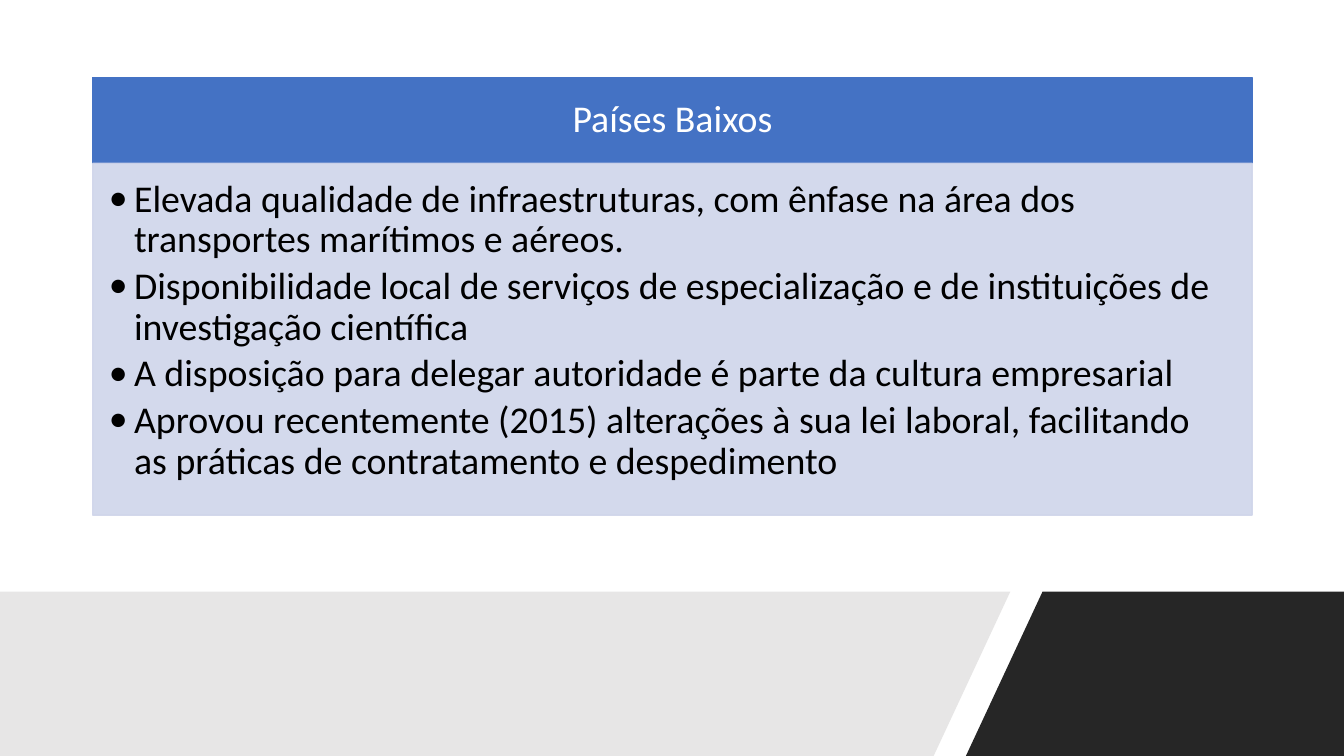
import pptx
import pptx.dml.color
import pptx.enum.shapes
import pptx.enum.text
import pptx.oxml.ns
import pptx.util
from lxml import etree

Inches = pptx.util.Inches
Pt = pptx.util.Pt
ALIGN = pptx.enum.text.PP_ALIGN
ANCHOR = pptx.enum.text.MSO_ANCHOR

COLORS = {
    "header": "4472C4",
    "body": "CFD5EA",
    "dark": "262626",
    "light": "E7E6E6",
    "white": "FFFFFF",
    "black": "000000",
}


def set_all(target, values):
    for name, value in values.items():
        setattr(target, name, value)


class SlideBuilder:
    font = {"name": "Calibri", "size": Pt(27)}
    spacing = {"line_spacing": 0.9, "space_before": Pt(0)}

    def __init__(self, prs):
        self.slide = prs.slides.add_slide(prs.slide_layouts[6])

    def rgb(self, color):
        return pptx.dml.color.RGBColor.from_string(COLORS[color])

    def paint(self, s, color):
        s.shadow.inherit = False
        s.fill.solid()
        s.fill.fore_color.rgb = self.rgb(color)

    def band(self, points, color):
        corners = [(Inches(x), Inches(y)) for x, y in points]
        builder = self.slide.shapes.build_freeform(*corners[0], scale=1.0)
        builder.add_line_segments(corners[1:], close=True)
        s = builder.convert_to_shape()
        self.paint(s, color)
        s.line.fill.background()

    def panel(self, box, color, frame, opacity=100):
        s = self.slide.shapes.add_shape(
            pptx.enum.shapes.MSO_SHAPE.RECTANGLE, *map(Inches, box))
        self.paint(s, color)
        s.line.color.rgb = self.rgb(color)
        s.line.width = Pt(1)
        if opacity < 100:
            for clr in s.element.spPr.iter(pptx.oxml.ns.qn("a:srgbClr")):
                etree.SubElement(clr, pptx.oxml.ns.qn("a:alpha"),
                                 val=str(opacity * 1000))
        set_all(s.text_frame, {"word_wrap": True, **frame})
        return s.text_frame

    def paragraphs(self, tf, lines, color, align, space_after, bullet=False):
        for i, line in enumerate(lines):
            p = tf.add_paragraph() if i else tf.paragraphs[0]
            if bullet:
                self.bullet(p)
            set_all(p, {**self.spacing, "alignment": align,
                        "space_after": space_after})
            r = p.add_run()
            r.text = line
            set_all(r.font, self.font)
            r.font.color.rgb = self.rgb(color)

    def bullet(self, p):
        pPr = p._p.get_or_add_pPr()
        pPr.set("marL", str(Inches(0.25)))
        pPr.set("indent", str(-Inches(0.25)))
        etree.SubElement(pPr, pptx.oxml.ns.qn("a:buFont"), typeface="Calibri")
        etree.SubElement(pPr, pptx.oxml.ns.qn("a:buChar"), char="•")


def main():
    prs = pptx.Presentation()
    set_all(prs, {"slide_width": Inches(13.33), "slide_height": Inches(7.5)})
    slide = SlideBuilder(prs)

    # Slanted bands along the bottom
    top, bottom = 5.87, 7.5
    slide.band([(10.34, top), (13.33, top), (13.33, bottom), (9.58, bottom)], "dark")
    slide.band([(0, top), (10.02, top), (9.26, bottom), (0, bottom)], "light")

    # Country heading
    left, width = 0.92, 11.5
    tf = slide.panel((left, 0.77, width, 0.85), "header", {
        "vertical_anchor": ANCHOR.MIDDLE,
        "margin_left": Inches(0.21), "margin_right": Inches(0.21),
        "margin_top": Inches(0.12), "margin_bottom": Inches(0.12)})
    slide.paragraphs(tf, ["Países Baixos"], "white", ALIGN.CENTER, Pt(9.45))

    # Country strengths
    tf = slide.panel((left, 1.62, width, 3.49), "body", {
        "vertical_anchor": ANCHOR.TOP,
        "margin_left": Inches(0.16), "margin_right": Inches(0.21),
        "margin_top": Inches(0.16), "margin_bottom": Inches(0.24)}, opacity=90)
    slide.paragraphs(tf, [
        "Elevada qualidade de infraestruturas, com ênfase na área dos "
        "transportes marítimos e aéreos.",
        "Disponibilidade local de serviços de especialização e de "
        "instituições de investigação científica",
        "A disposição para delegar autoridade é parte da cultura empresarial",
        "Aprovou recentemente (2015) alterações à sua lei laboral, "
        "facilitando as práticas de contratamento e despedimento",
    ], "black", ALIGN.LEFT, Pt(4.05), bullet=True)

    prs.save("out.pptx")


if __name__ == "__main__":
    main()
